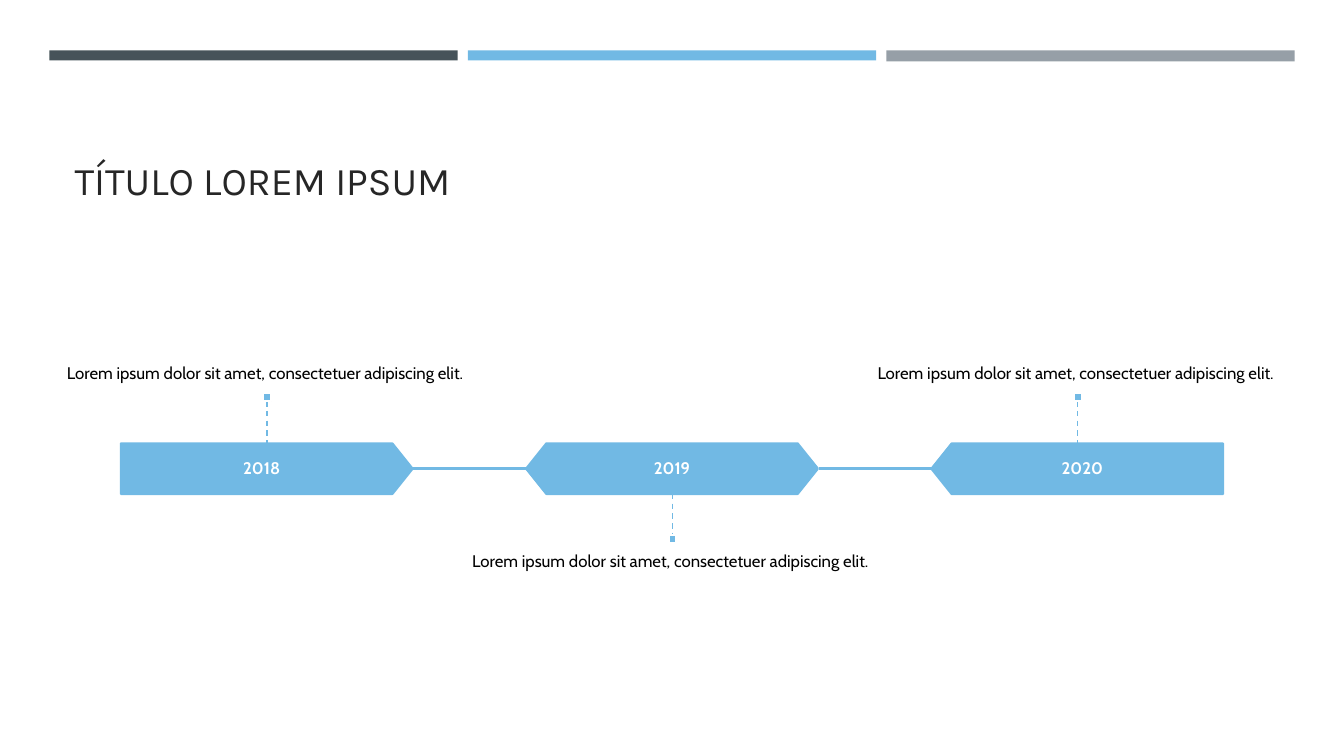
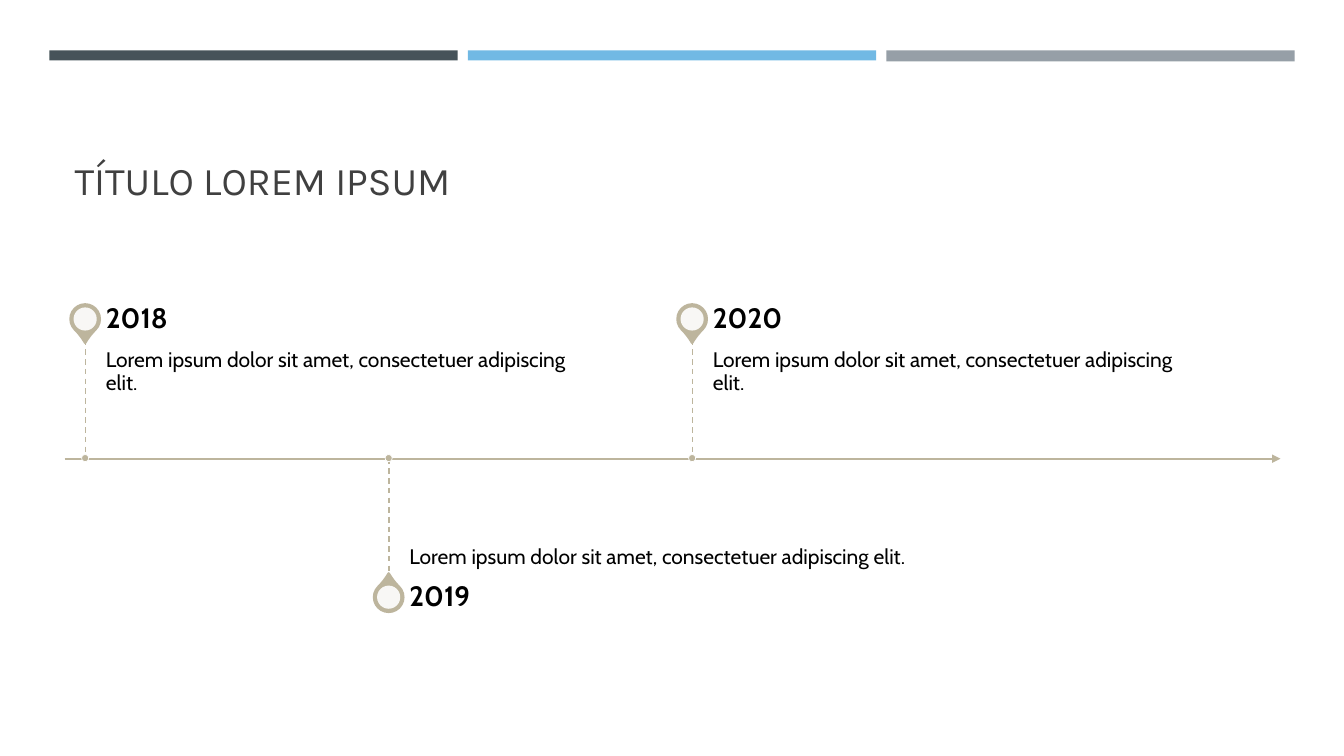
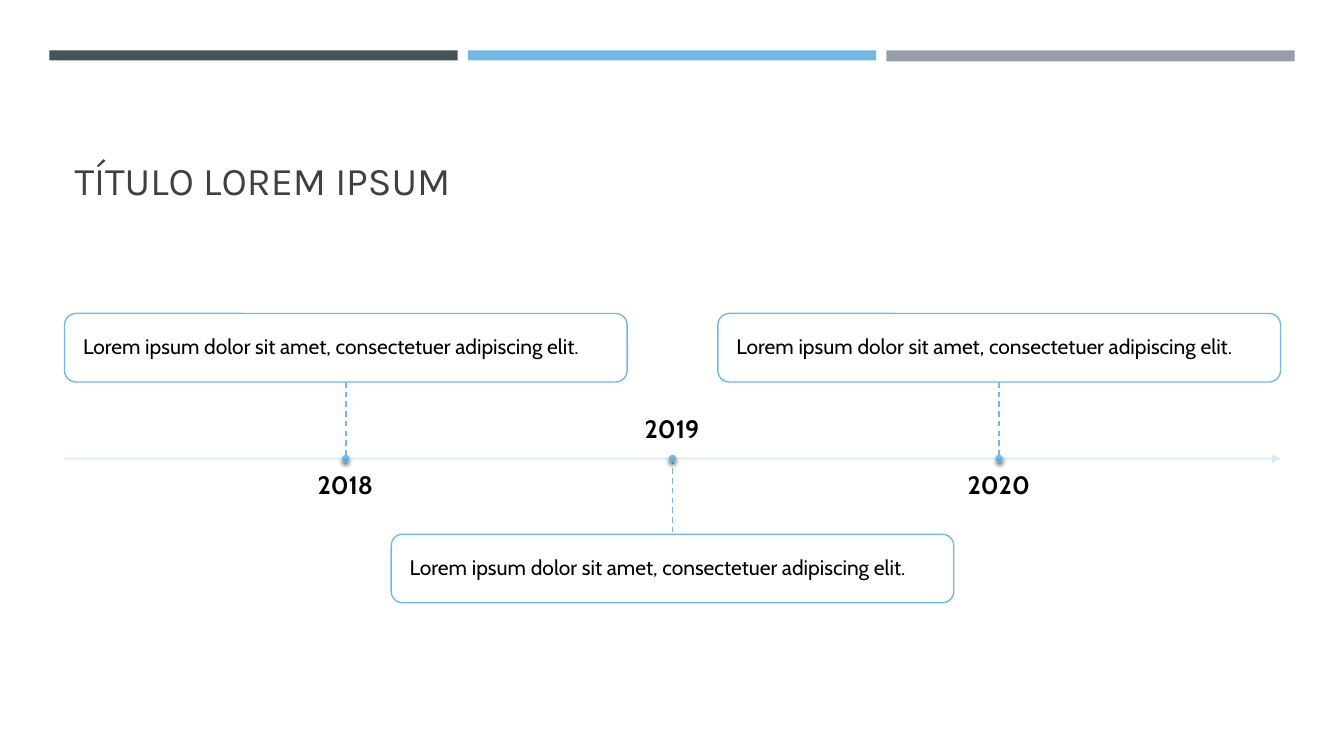
import pptx
import pptx.util
import pptx.dml.color
import pptx.enum.dml
import pptx.enum.shapes
import pptx.enum.text
import pptx.oxml.ns
from lxml import etree

Inches = pptx.util.Inches
Pt = pptx.util.Pt
RGBColor = pptx.dml.color.RGBColor
Form = pptx.enum.shapes.MSO_SHAPE
Anchor = pptx.enum.text.MSO_ANCHOR
Align = pptx.enum.text.PP_ALIGN
qn = pptx.oxml.ns.qn

SLATE = RGBColor(0x46, 0x53, 0x59)
BLUE = RGBColor(0x71, 0xB9, 0xE4)
GRAY = RGBColor(0x96, 0x9F, 0xA7)
SAND = RGBColor(0xBD, 0xB5, 0x9D)
PALE = RGBColor(0xD5, 0xE6, 0xF5)
LIGHT = RGBColor(0x93, 0xC9, 0xEA)
DEEP = RGBColor(0x4D, 0xA0, 0xD2)
INK = RGBColor(0x26, 0x26, 0x26)
SOFT = RGBColor(0x40, 0x40, 0x40)
BLACK = RGBColor(0, 0, 0)
WHITE = RGBColor(0xFF, 0xFF, 0xFF)

HEAD = "TÍTULO LOREM IPSUM"
LOREM = "Lorem ipsum dolor sit amet, consectetuer adipiscing elit."
YEARS = ["2018", "2019", "2020"]
AXIS = 4.55


def draw(slide, form, x, y, wide, high, fill, edge=None, weight=1, clear=False):
    shape = slide.shapes.add_shape(form, Inches(x), Inches(y), Inches(wide), Inches(high))
    shape.shadow.inherit = False
    shape.fill.solid()
    shape.fill.fore_color.rgb = fill
    if clear:
        tint = next(shape.element.iter(qn("a:srgbClr")))
        etree.SubElement(tint, qn("a:alpha"), val="90000")
    if edge is None:
        shape.line.fill.background()
    else:
        shape.line.color.rgb = edge
        shape.line.width = Pt(weight)
    return shape


def write(shape, text, size, color=BLACK, bold=False, align=Align.LEFT,
          anchor=Anchor.TOP, pad=(0, 0, 0, 0)):
    frame = shape.text_frame
    frame.word_wrap = True
    frame.vertical_anchor = anchor
    frame.margin_left, frame.margin_top, frame.margin_right, frame.margin_bottom = map(Inches, pad)
    para = frame.paragraphs[0]
    para.alignment = align
    para.line_spacing = 0.9
    run = para.add_run()
    run.text = text
    run.font.name = "Cabin"
    run.font.size = Pt(size)
    run.font.bold = bold
    run.font.color.rgb = color


deck = pptx.Presentation()
deck.slide_width = Inches(13.33)
deck.slide_height = Inches(7.5)
layout = deck.slide_layouts[5]

slides = []
for color in (INK, SOFT, SOFT):
    slide = deck.slides.add_slide(layout)
    title = slide.shapes.title
    title.left, title.top = Inches(0.64), Inches(0.77)
    title.width, title.height = Inches(12.06), Inches(1.3)
    title.text_frame.vertical_anchor = Anchor.BOTTOM
    para = title.text_frame.paragraphs[0]
    para.alignment = Align.LEFT
    run = para.add_run()
    run.text = HEAD
    run.font.name = "Karla"
    run.font.size = Pt(28)
    run.font.color.rgb = color
    slides.append(slide)
blocks, pins, cards = slides

for i, (color, high) in enumerate([(SLATE, 0.1), (BLUE, 0.1), (GRAY, 0.11)]):
    band = draw(blocks, Form.RECTANGLE, 0.49 + 4.15 * i, 0.5, 4.05, high, color)
    band.element.nvSpPr.cNvPr.set("id", str(50 + i))
    layout.shapes.element.append(band.element)

block_xs = [2.65 + 4.02 * i for i in range(3)]
pin_xs = [0.85 + 3.01 * i for i in range(3)]
card_xs = [3.43 + 3.24 * i for i in range(3)]

lines = [
    (pins, 0.64, AXIS, 12.7, AXIS, SAND, 1.5, "arrow"),
    (cards, 0.64, AXIS, 12.7, AXIS, PALE, 1, "arrow"),
]
for x in block_xs[:2]:
    lines.append((blocks, x + 1.45, 4.65, x + 2.57, 4.65, BLUE, 1.75, "solid"))
for slide, xs, color, above, below in [
    (blocks, block_xs, BLUE, (3.98, 4.4), (4.9, 5.31)),
    (pins, pin_xs, SAND, (3.37, AXIS), (AXIS, 5.72)),
    (cards, card_xs, BLUE, (3.79, AXIS), (AXIS, 5.3)),
]:
    for x, (top, end) in zip(xs, (above, below, above)):
        lines.append((slide, x, top, x, end, color, 1, "dash"))

for slide, x, y, right, end, color, weight, style in lines:
    line = slide.shapes.add_connector(
        pptx.enum.shapes.MSO_CONNECTOR.STRAIGHT, Inches(x), Inches(y), Inches(right), Inches(end))
    line.line.color.rgb = color
    line.line.width = Pt(weight)
    if style == "dash":
        line.line.dash_style = pptx.enum.dml.MSO_LINE.DASH
    if style == "arrow":
        etree.SubElement(line.element.spPr.find(qn("a:ln")), qn("a:tailEnd"), type="triangle")
    if color == PALE:
        etree.SubElement(next(line.element.iter(qn("a:srgbClr"))), qn("a:alpha"), val="90000")
    etree.SubElement(line.element.spPr, qn("a:effectLst"))

forms = [Form.PENTAGON, Form.HEXAGON, Form.PENTAGON]
for i, (x, year, form) in enumerate(zip(block_xs, YEARS, forms)):
    low = i == 1
    block = draw(blocks, form, x - 1.45, 4.4, 2.89, 0.5, BLUE, BLUE, 1.75)
    block.adjustments[0] = 0.4
    if i == 2:
        block.rotation = 180
    label = blocks.shapes.add_textbox(
        Inches(x - 1.45 + 0.05 * i), Inches(4.4), Inches(2.79), Inches(0.5))
    write(label, year, 12, WHITE, True, Align.CENTER, Anchor.MIDDLE, (0.1, 0.1, 0.1, 0.1))
    note = blocks.shapes.add_textbox(
        Inches(x - 2.01), Inches(5.4 if low else 2.56), Inches(4.02), Inches(1.33))
    write(note, LOREM + " ", 12, align=Align.CENTER,
          anchor=Anchor.TOP if low else Anchor.BOTTOM, pad=(0, 0.12, 0, 0.12))
    draw(blocks, Form.RECTANGLE, x - 0.04, 5.31 if low else 3.9, 0.08, 0.08, BLUE, WHITE, 1.75)

for i, (x, year) in enumerate(zip(pin_xs, YEARS)):
    low = i == 1
    mid = 5.93 if low else 3.17
    pin = draw(pins, Form.TEAR, x - 0.15, mid - 0.15, 0.29, 0.29, SAND, SAND, 1.75)
    pin.adjustments[0] = 1.15
    pin.rotation = 315 if low else 135
    draw(pins, Form.OVAL, x - 0.12, mid - 0.12, 0.23, 0.23, WHITE, clear=True)
    note = pins.shapes.add_textbox(
        Inches(x + 0.2), Inches(AXIS if low else 3.37), Inches(5.01), Inches(1.18))
    write(note, LOREM, 15, anchor=Anchor.BOTTOM if low else Anchor.TOP,
          pad=(0, 0.16, 0, 0.1) if low else (0, 0.1, 0.1, 0.16))
    label = pins.shapes.add_textbox(
        Inches(x + 0.2), Inches(mid - 0.21), Inches(5.01), Inches(0.41))
    write(label, year, 20, bold=True, anchor=Anchor.MIDDLE, pad=(0, 0, 0.14, 0))
    draw(pins, Form.OVAL, x - 0.04, AXIS - 0.04, 0.07, 0.07, SAND, WHITE, 0.5)

for i, (x, year) in enumerate(zip(card_xs, YEARS)):
    low = i == 1
    label = cards.shapes.add_textbox(
        Inches(x - 2.46), Inches(3.95 if low else 4.69), Inches(4.91), Inches(0.45))
    write(label, year, 18, bold=True, align=Align.CENTER,
          anchor=Anchor.BOTTOM if low else Anchor.TOP)
    card = draw(cards, Form.ROUNDED_RECTANGLE, x - 2.79, 5.3 if low else 3.11, 5.58, 0.68,
                WHITE, BLUE, 1, True)
    write(card, LOREM, 15, anchor=Anchor.MIDDLE, pad=(0.15, 0.15, 0.15, 0.15))
    dot = draw(cards, Form.OVAL, x - 0.03, AXIS - 0.03, 0.06, 0.06, BLUE, BLUE, 1)
    dot.fill.gradient()
    dot.fill.gradient_angle = 270
    for stop, color, place in zip(dot.fill.gradient_stops, (LIGHT, DEEP), (0, 0.84)):
        stop.color.rgb = color
        stop.position = place
    glow = etree.SubElement(
        dot.element.spPr.find(qn("a:effectLst")), qn("a:outerShdw"),
        blurRad=str(Pt(3)), dist=str(Pt(2)), dir="5400000", rotWithShape="0")
    shade = etree.SubElement(glow, qn("a:srgbClr"), val="000000")
    etree.SubElement(shade, qn("a:alpha"), val="55000")

deck.save("out.pptx")
